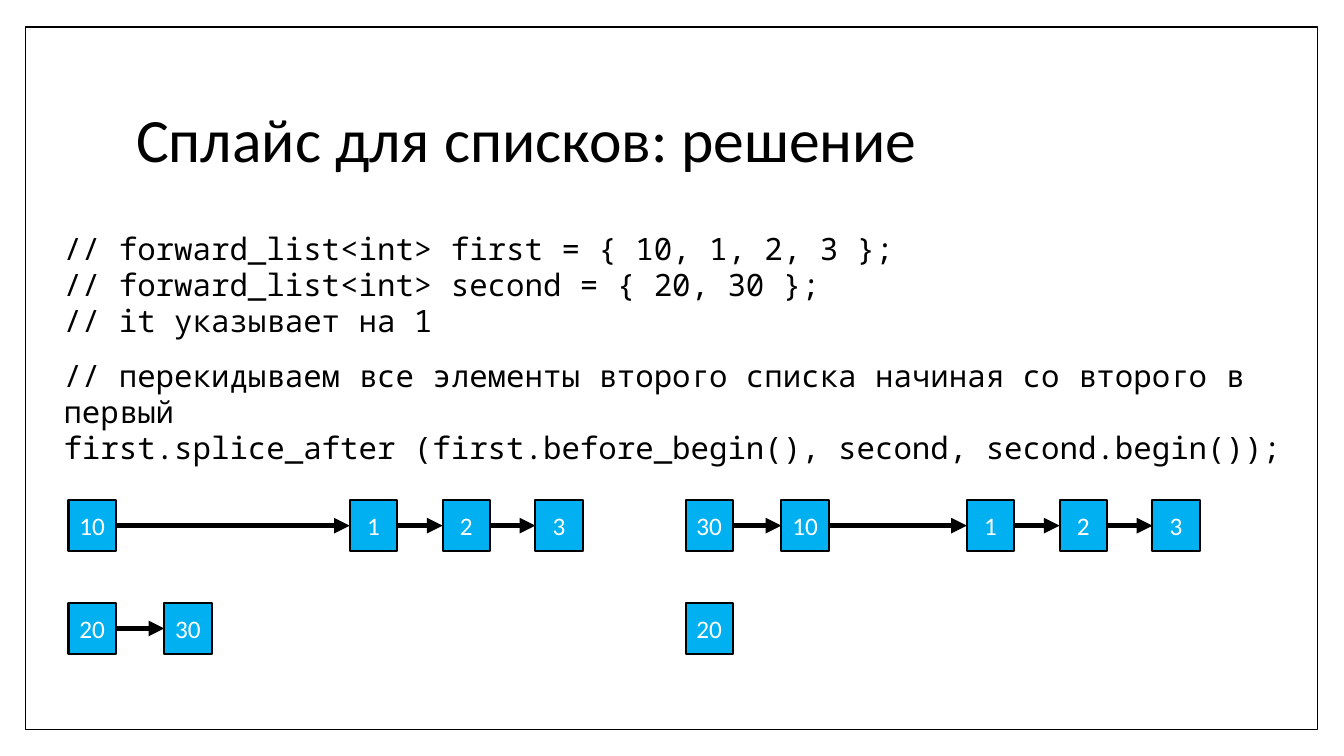
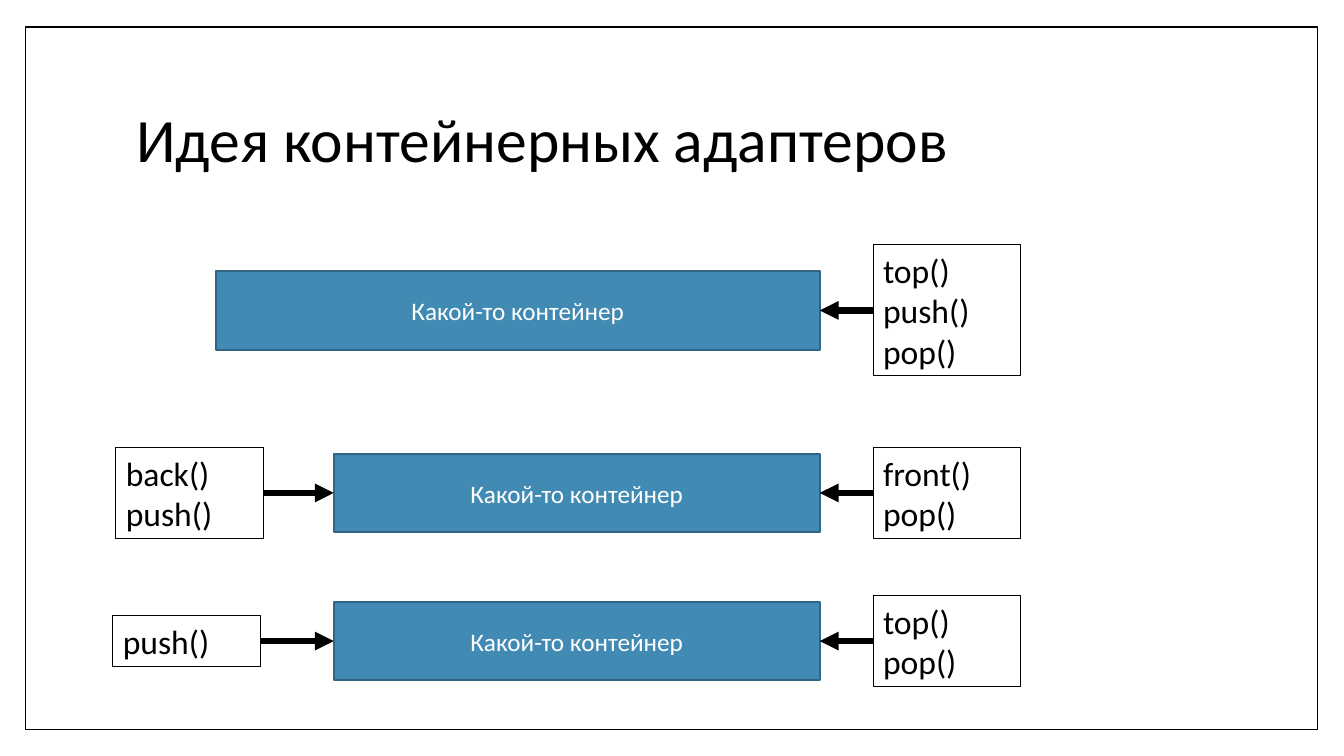
"""Build two slides on list splicing and container adapters."""
from lxml.etree import SubElement
from pptx import Presentation
from pptx.dml.color import RGBColor as Color
from pptx.enum.shapes import MSO_CONNECTOR as Line, MSO_SHAPE as Kind
from pptx.enum.text import MSO_ANCHOR as Anchor, MSO_AUTO_SIZE as Fit, PP_ALIGN as Align
from pptx.oxml.ns import qn
from pptx.util import Inches, Pt


class Theme:
    black = Color.from_string("000000")
    white = Color.from_string("FFFFFF")
    node = Color.from_string("00B0F0")
    bar = Color.from_string("418AB3")
    edge = Color.from_string("306684")
    sans = "Calibri"
    mono = "Noto Sans Mono"
    title = 44
    label = 24
    code = 22
    small = 18


def put(page, text, at, shape=None, fill=None, line=None, width=1.5, size=Theme.small,
        color=Theme.black, font=Theme.sans, align=Align.LEFT, anchor=Anchor.MIDDLE,
        inset=0.1, pitch=1.0, gap=0):
    shape = shape or page.shapes.add_shape(Kind.RECTANGLE, 0, 0, 0, 0)
    shape.left, shape.top, shape.width, shape.height = map(Inches, at)
    if not shape.is_placeholder:
        shape.shadow.inherit = False
    if fill is None:
        shape.fill.background()
    else:
        shape.fill.solid()
        shape.fill.fore_color.rgb = fill
    if line is None:
        shape.line.fill.background()
    else:
        shape.line.color.rgb = line
        shape.line.width = Pt(width)
    frame = shape.text_frame
    frame.text = text
    frame.word_wrap = True
    frame.auto_size = Fit.NONE
    frame.vertical_anchor = anchor
    frame.margin_left = Inches(inset)
    for spot, para in enumerate(frame.paragraphs):
        para.alignment = align
        para.line_spacing = pitch
        para.space_before = Pt(gap if spot else 0)
        for run in para.runs:
            run.font.size = Pt(size)
            run.font.name = font
            run.font.color.rgb = color
    return shape


def link(page, start, end, sides, width):
    arrow = page.shapes.add_connector(Line.STRAIGHT, 0, 0, 0, 0)
    arrow.begin_connect(start, sides[0])
    arrow.end_connect(end, sides[1])
    arrow.line.color.rgb = Theme.black
    arrow.line.width = Pt(width)
    SubElement(arrow.line._get_or_add_ln(), qn("a:tailEnd"), type="triangle")
    SubElement(arrow._element.spPr, qn("a:effectLst"))


deck = Presentation()
deck.slide_width, deck.slide_height = Inches(13.33), Inches(7.5)
pages = []
for title in ("Сплайс для списков: решение", "Идея контейнерных адаптеров"):
    page = deck.slides.add_slide(deck.slide_layouts[5])
    put(page, "", (0.25, 0.27, 12.82, 6.97), line=Theme.black, width=1)
    put(page, title, (1.25, 0.67, 10.8, 1.48), shape=page.shapes.title,
        size=Theme.title, pitch=0.9)
    pages.append(page)
splice, adapt = pages

setup = ("// forward_list<int> first = { 10, 1, 2, 3 };",
         "// forward_list<int> second = { 20, 30 };",
         "// it указывает на 1")
move = ("// перекидываем все элементы второго списка начиная со второго в первый",
        "first.splice_after (first.before_begin(), second, second.begin());")
put(splice, "\n".join("\v".join(part) for part in (setup, move)),
    (0.48, 2.25, 12.35, 4.42), shape=splice.shapes.add_textbox(0, 0, 0, 0),
    size=Theme.code, font=Theme.mono, anchor=Anchor.TOP, inset=0.15, pitch=0.97, gap=14)

slots = (0, 0.95, 2.79, 3.71, 4.63)
before, after = 0.68, 6.8
upper, lower = 4.96, 5.98
chains = (
    (before, upper, {0: "10", 2: "1", 3: "2", 4: "3"}),
    (before, lower, {0: "20", 1: "30"}),
    (after, upper, {0: "30", 1: "10", 2: "1", 3: "2", 4: "3"}),
    (after, lower, {0: "20"}),
)
for left, top, items in chains:
    nodes = [put(splice, text, (left + slots[slot], top, 0.47, 0.51), fill=Theme.node,
                 line=Theme.black, color=Theme.white, align=Align.CENTER)
             for slot, text in items.items()]
    for start, end in zip(nodes, nodes[1:]):
        link(splice, start, end, (3, 1), 3.75)

right = 8.13
rows = (
    (3.08, 2.14, ((8.66, "top()\npush()\npop()", (1, 3)),)),
    (4.89, 3.31, ((8.66, "front()\npop()", (1, 3)), (1.15, "back()\npush()", (3, 1)))),
    (6.36, 3.31, ((8.66, "top()\npop()", (1, 3)), (1.12, "push()", (3, 1)))),
)
for mid, left, calls in rows:
    bar = put(adapt, "Какой-то контейнер", (left, mid - 0.39, right - left, 0.78),
              fill=Theme.bar, line=Theme.edge, color=Theme.white, align=Align.CENTER)
    for x, text, sides in calls:
        tall = 0.1 + 0.4 * len(text.split("\n"))
        label = put(adapt, text, (x, mid - tall / 2, 1.46, tall), line=Theme.black,
                    width=0.75, size=Theme.label, anchor=Anchor.TOP)
        link(adapt, label, bar, sides, 4.5)

deck.save("out.pptx")
